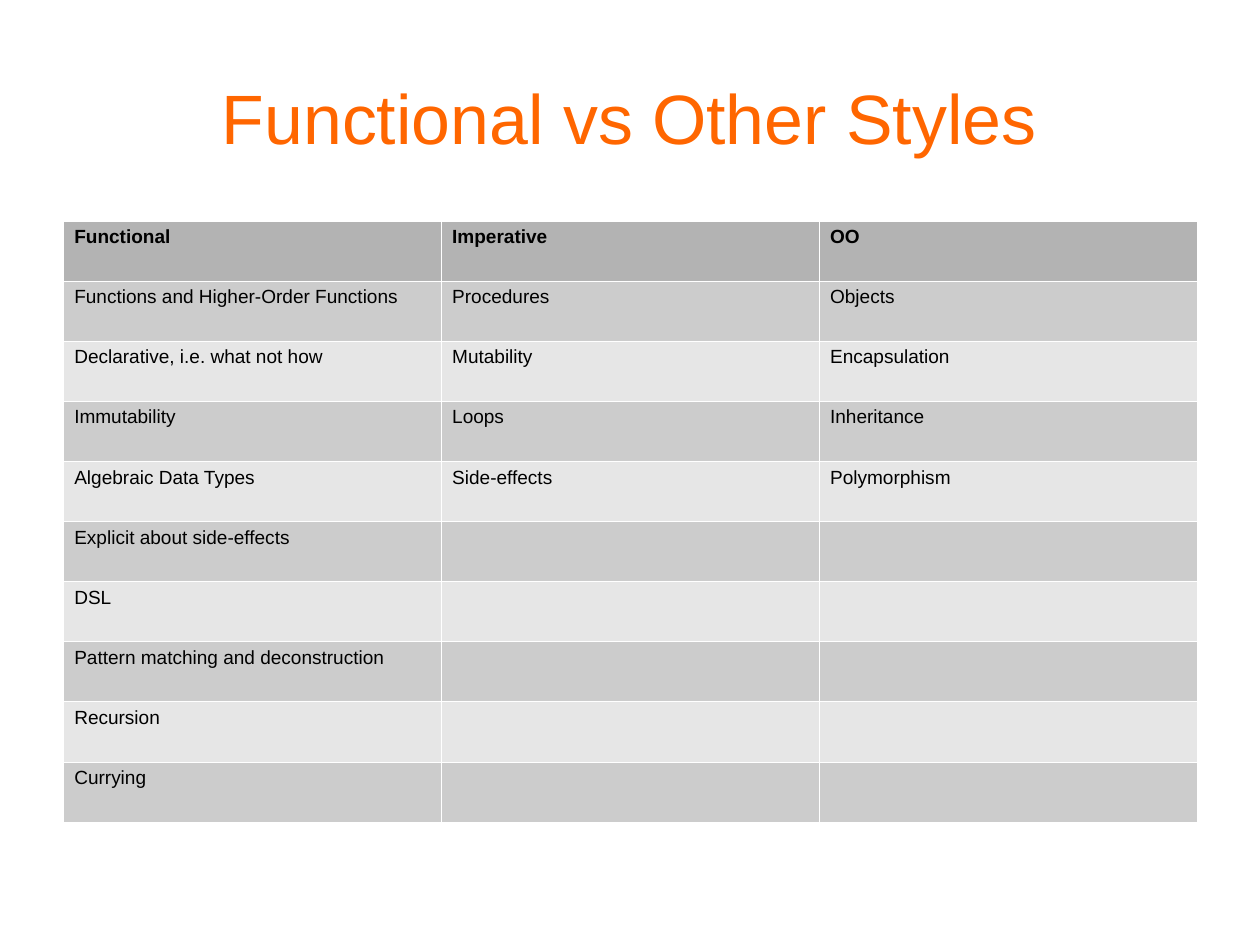
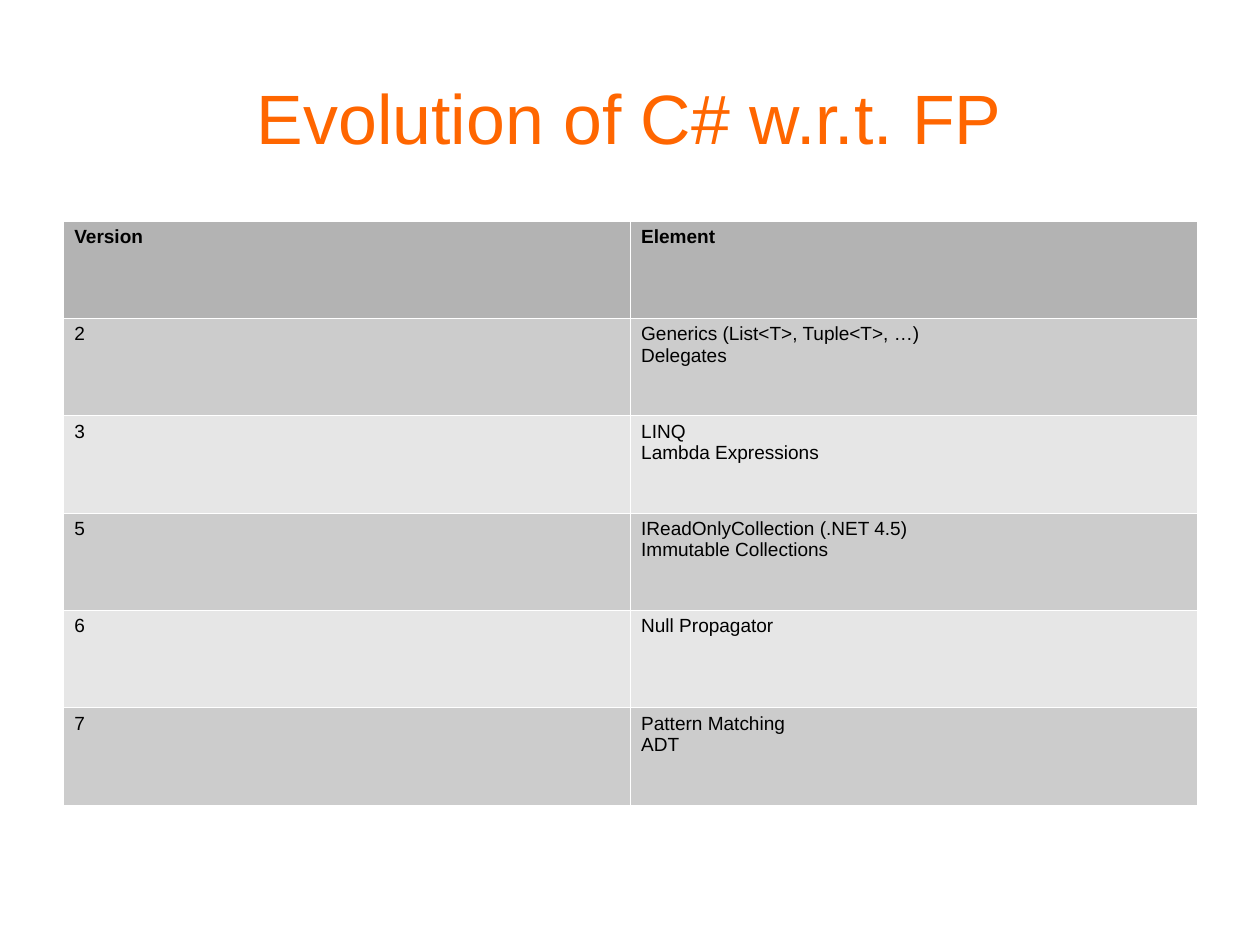
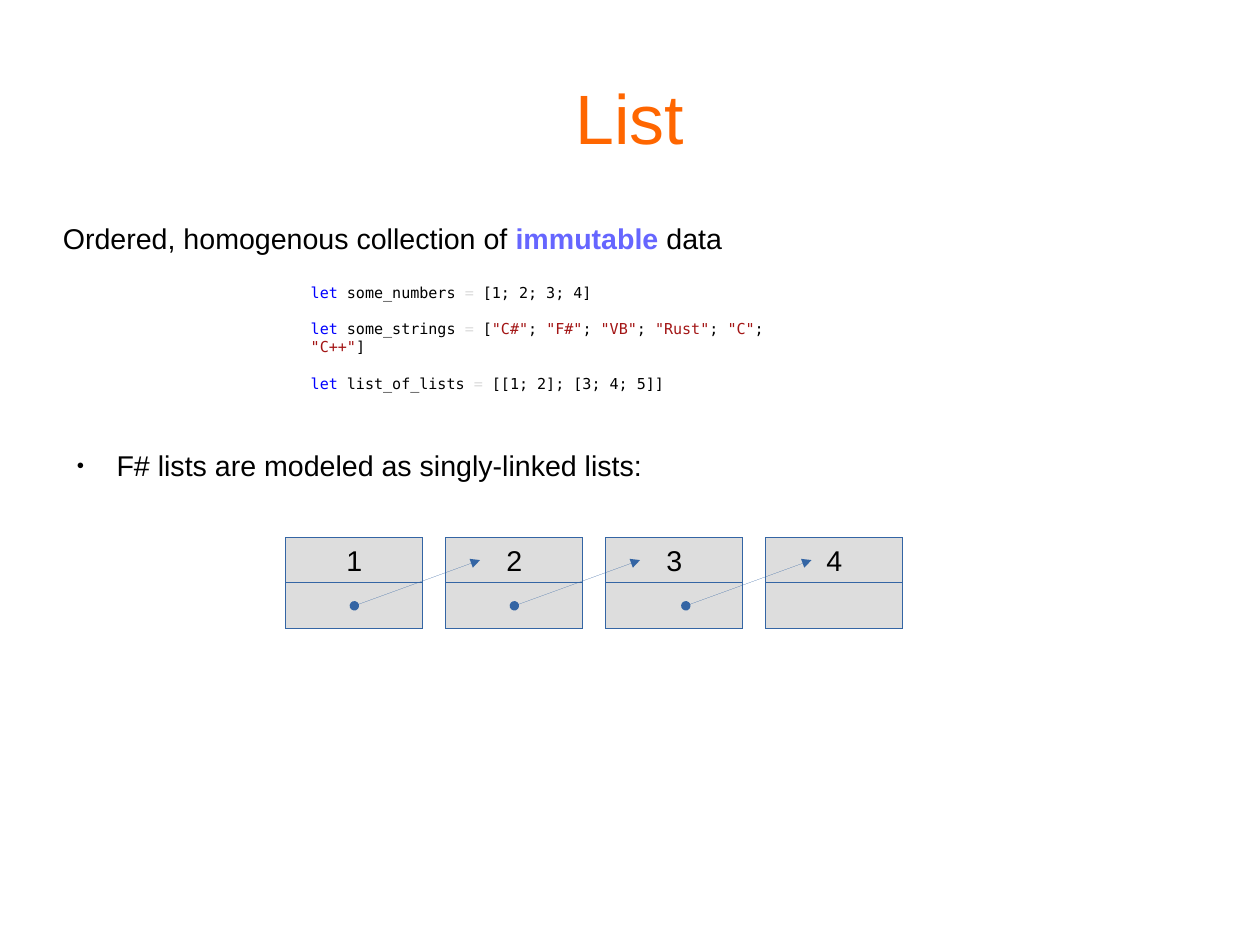
from lxml.etree import SubElement
from pptx import Presentation
from pptx.dml.color import RGBColor
from pptx.enum.shapes import MSO_CONNECTOR, MSO_SHAPE
from pptx.enum.text import MSO_ANCHOR, MSO_AUTO_SIZE, PP_ALIGN
from pptx.oxml.ns import qn
from pptx.util import Inches, Pt

COLORS = {
    "title": "FF6600",
    "text": "000000",
    "emphasis": "6666FF",
    "table_header": "B3B3B3",
    "table_odd": "CCCCCC",
    "table_even": "E6E6E6",
    "table_border": "FFFFFF",
    "node_fill": "DDDDDD",
    "node_line": "3465A4",
    "keyword": "0000FF",
    "operator": "DCDCDC",
    "string": "A31515",
}
FONTS = {
    "title": {"name": "Arial", "size": Pt(44)},
    "body": {"name": "Arial", "size": Pt(18), "bold": False},
    "strong": {"name": "Arial", "size": Pt(18), "bold": True},
    "cell": {"name": "Arial", "size": Pt(12), "bold": False},
    "header": {"name": "Arial", "size": Pt(12), "bold": True},
    "code": {"name": "DejaVu Sans Mono", "size": Pt(9.5)},
}
NO_MARGINS = dict.fromkeys(
    ("margin_left", "margin_top", "margin_right", "margin_bottom"), 0)
TITLE_ONLY, TITLE_AND_BODY = 5, 1
CM_PER_INCH = 2.54
LEFT, CONTENT_TOP, CONTENT_WIDTH = 0.55, 1.93, 9.92
NODE_WIDTH, NODE_HEIGHT, NODE_PITCH = 1.2, 0.4, 1.4
NODE_LEFT, NODE_TOP = 2.5, 4.7

STYLES_TABLE = [
    ("Functional", "Imperative", "OO"),
    ("Functions and Higher-Order Functions", "Procedures", "Objects"),
    ("Declarative, i.e. what not how", "Mutability", "Encapsulation"),
    ("Immutability", "Loops", "Inheritance"),
    ("Algebraic Data Types", "Side-effects", "Polymorphism"),
    ("Explicit about side-effects", "", ""),
    ("DSL", "", ""),
    ("Pattern matching and deconstruction", "", ""),
    ("Recursion", "", ""),
    ("Currying", "", ""),
]
EVOLUTION_TABLE = [
    ("Version", "Element"),
    ("2", "Generics (List<T>, Tuple<T>, …)\nDelegates"),
    ("3", "LINQ\nLambda Expressions"),
    ("5", "IReadOnlyCollection (.NET 4.5)\nImmutable Collections"),
    ("6", "Null Propagator"),
    ("7", "Pattern Matching\nADT"),
]
CODE_LINES = [
    ("some_numbers", "[1; 2; 3; 4]"),
    ("some_strings", '["C#"; "F#"; "VB"; "Rust"; "C"; "C++"]'),
    ("list_of_lists", "[[1; 2]; [3; 4; 5]]"),
]


def set_attributes(target, values):
    for name, value in values.items():
        setattr(target, name, value)


def rgb(color):
    return RGBColor.from_string(COLORS[color])


def set_fill(target, color):
    target.fill.solid()
    target.fill.fore_color.rgb = rgb(color)


def set_hairline(shape):
    """Write the zero width as XML, since the width property drops a zero."""
    shape.line.color.rgb = rgb("node_line")
    line = shape.line._get_or_add_ln()
    line.set("w", "0")
    return line


def set_font(font, style, color="text"):
    set_attributes(font, FONTS[style])
    font.color.rgb = rgb(color)


def add_run(paragraph, text, style, color="text"):
    run = paragraph.add_run()
    run.text = text
    set_font(run.font, style, color)


def place(shape, left, top, width, height):
    set_attributes(shape, {
        "left": Inches(left), "top": Inches(top),
        "width": Inches(width), "height": Inches(height),
    })


def add_titled_slide(presentation, title, layout=TITLE_ONLY):
    slide = presentation.slides.add_slide(presentation.slide_layouts[layout])
    shape = slide.shapes.title
    place(shape, LEFT, 0.33, CONTENT_WIDTH, 1.38)
    set_attributes(shape.text_frame, NO_MARGINS | {
        "vertical_anchor": MSO_ANCHOR.MIDDLE, "auto_size": MSO_AUTO_SIZE.NONE})
    paragraph = shape.text_frame.paragraphs[0]
    paragraph.alignment = PP_ALIGN.CENTER
    add_run(paragraph, title, "title", "title")
    return slide


def set_cell_borders(cell):
    """Put the borders before the fill, as the cell schema requires."""
    properties = cell._tc.get_or_add_tcPr()
    for index, side in enumerate(("lnL", "lnR", "lnT", "lnB")):
        border = SubElement(properties, qn(f"a:{side}"), w=str(Pt(0.06)))
        fill = SubElement(border, qn("a:solidFill"))
        SubElement(fill, qn("a:srgbClr"), val=COLORS["table_border"])
        properties.insert(index, border)


def add_banded_table(slide, rows, height):
    columns = len(rows[0])
    table = slide.shapes.add_table(
        len(rows), columns, Inches(LEFT), Inches(CONTENT_TOP),
        Inches(CONTENT_WIDTH), Inches(height)).table
    set_attributes(table, {"first_row": False, "horz_banding": False})
    for row_index, row in enumerate(rows):
        band = "table_odd" if row_index % 2 else "table_even"
        for column_index, text in enumerate(row):
            cell = table.cell(row_index, column_index)
            set_fill(cell, band if row_index else "table_header")
            set_cell_borders(cell)
            cell.text = text
            for paragraph in cell.text_frame.paragraphs:
                for run in paragraph.runs:
                    set_font(run.font, "cell" if row_index else "header")


def set_bullet(paragraph, character=None):
    """Give the paragraph a small hanging bullet, or none without a character."""
    properties = paragraph._p.get_or_add_pPr()
    if character is None:
        properties.set("marL", "0")
        properties.set("indent", "0")
        SubElement(properties, qn("a:buNone"))
        return
    properties.set("marL", str(Inches(0.47)))
    properties.set("indent", str(Inches(-0.35)))
    SubElement(properties, qn("a:buSzPct"), val="45000")
    SubElement(properties, qn("a:buChar"), char=character)


def fill_body(slide):
    body = slide.placeholders[1]
    place(body, LEFT, CONTENT_TOP, CONTENT_WIDTH, 4.79)
    frame = body.text_frame
    set_attributes(frame, NO_MARGINS | {"auto_size": MSO_AUTO_SIZE.NONE})
    definition = frame.paragraphs[0]
    definition.space_before = Pt(0)
    set_bullet(definition)
    add_run(definition, "Ordered, homogenous collection of ", "body")
    add_run(definition, "immutable", "strong", "emphasis")
    add_run(definition, " data", "body")
    model = frame.add_paragraph()
    model.space_before = Pt(121.5)
    set_bullet(model, "●")
    add_run(model, "F# lists are modeled as singly-linked lists:", "body")


def add_code(slide):
    box = slide.shapes.add_textbox(
        Inches(2.62), Inches(2.43), Inches(4.28), Inches(1.02))
    frame = box.text_frame
    frame.word_wrap = True
    for index, (name, value) in enumerate(CODE_LINES):
        paragraph = frame.add_paragraph() if index else frame.paragraphs[0]
        paragraph.space_before = Pt(11.5 if index else 0)
        add_run(paragraph, "let", "code", "keyword")
        add_run(paragraph, f" {name} ", "code")
        add_run(paragraph, "=", "code", "operator")
        for part_index, part in enumerate(f" {value}".split('"')):
            if part_index % 2:
                add_run(paragraph, f'"{part}"', "code", "string")
            else:
                add_run(paragraph, part, "code")


def add_list_node(slide, index, value):
    """Draw a value cell above an empty pointer cell."""
    group = slide.shapes.add_group_shape()
    for row, text in enumerate((value, "")):
        cell = group.shapes.add_shape(
            MSO_SHAPE.RECTANGLE,
            Inches(NODE_LEFT + index * NODE_PITCH),
            Inches(NODE_TOP + row * NODE_HEIGHT),
            Inches(NODE_WIDTH), Inches(NODE_HEIGHT))
        cell.shadow.inherit = False
        set_fill(cell, "node_fill")
        set_hairline(cell)
        if text:
            frame = cell.text_frame
            set_attributes(frame, {
                "word_wrap": False, "vertical_anchor": MSO_ANCHOR.MIDDLE})
            frame.paragraphs[0].alignment = PP_ALIGN.CENTER
            add_run(frame.paragraphs[0], text, "body")


def add_pointer(slide, start):
    """Link a pointer cell, from a dot, to the next value cell."""
    value_middle = NODE_TOP + NODE_HEIGHT / 2
    connector = slide.shapes.add_connector(
        MSO_CONNECTOR.STRAIGHT,
        Inches(start), Inches(value_middle + NODE_HEIGHT),
        Inches(start + 1.1), Inches(value_middle))
    line = set_hairline(connector)
    SubElement(line, qn("a:headEnd"), type="oval")
    SubElement(line, qn("a:tailEnd"), type="triangle")
    SubElement(connector._element.spPr, qn("a:effectLst"))


def main():
    presentation = Presentation()
    presentation.slide_width = Inches(28 / CM_PER_INCH)
    presentation.slide_height = Inches(21 / CM_PER_INCH)

    styles = add_titled_slide(presentation, "Functional vs Other Styles")
    add_banded_table(styles, STYLES_TABLE, 5.26)

    evolution = add_titled_slide(presentation, "Evolution of C# w.r.t. FP")
    add_banded_table(evolution, EVOLUTION_TABLE, 5.11)

    linked_list = add_titled_slide(presentation, "List", TITLE_AND_BODY)
    fill_body(linked_list)
    add_code(linked_list)
    for index, value in enumerate("1234"):
        add_list_node(linked_list, index, value)
    for start in (3.1, 4.5, 6):
        add_pointer(linked_list, start)

    presentation.save("out.pptx")


if __name__ == "__main__":
    main()
